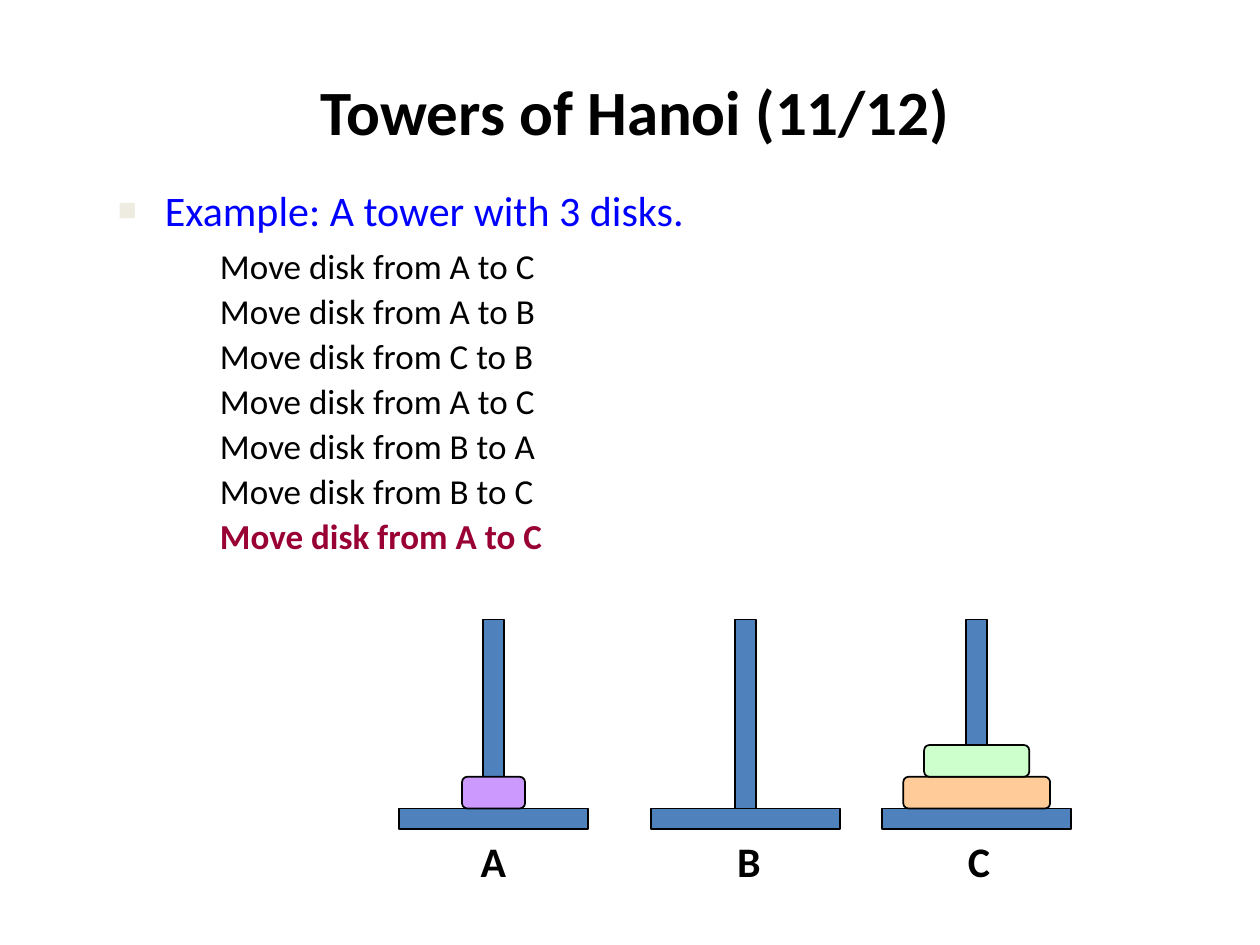
from lxml import etree
from pptx import Presentation
from pptx import util as u
from pptx.dml.color import RGBColor
from pptx.enum import shapes, text
from pptx.oxml.ns import qn

Cm, Pt = u.Cm, u.Pt
RECT = shapes.MSO_SHAPE.RECTANGLE
ROUND = shapes.MSO_SHAPE.ROUNDED_RECTANGLE


def write(para, words, size, color, bold=False):
    run = para.add_run()
    run.text = words
    font = run.font
    font.name, font.size, font.bold = "Calibri", Pt(size), bold
    font.color.rgb = RGBColor.from_string(color)


def block(kind, mid, top, wide, high, color):
    """Draw an outlined shape centred across on mid."""
    item = slide.shapes.add_shape(
        kind, Cm(mid - wide / 2), Cm(top), Cm(wide), Cm(high))
    item.shadow.inherit = False
    item.fill.solid()
    item.fill.fore_color.rgb = RGBColor.from_string(color)
    item.line.color.rgb = RGBColor.from_string("000000")
    item.line.width = Pt(1)


deck = Presentation()
deck.slide_width, deck.slide_height = Cm(25.4), Cm(19.05)
slide = deck.slides.add_slide(deck.slide_layouts[1])

# Title
title = slide.shapes.title
title.left, title.top, title.width, title.height = Cm(1.48), Cm(1.27), Cm(22.66), Cm(1.9)
para = title.text_frame.paragraphs[0]
para.alignment = text.PP_ALIGN.CENTER
write(para, "Towers of Hanoi (11/12)", 36, "000000", True)

# Heading and list of moves
body = slide.placeholders[1]
body.left, body.top, body.width, body.height = Cm(2.12), Cm(3.6), Cm(22.22), Cm(13.97)
frame = body.text_frame
frame.auto_size = text.MSO_AUTO_SIZE.NONE
head = frame.paragraphs[0]
head.alignment = text.PP_ALIGN.JUSTIFY
props = head._p.get_or_add_pPr()
props.set("marL", str(Cm(0.95)))
props.set("indent", str(Cm(-0.95)))
tint = etree.SubElement(props, qn("a:buClr"))
etree.SubElement(tint, qn("a:srgbClr"), val="EEECE1")
etree.SubElement(props, qn("a:buSzPct"), val="75000")
etree.SubElement(props, qn("a:buChar"), char="■")
head.space_before, head.space_after = Pt(0), Pt(3.7)
write(head, "Example: A tower with 3 disks.", 24, "0000FF")

moves = ["AC", "AB", "CB", "AC", "BA", "BC", "AC"]
for step, (start, end) in enumerate(moves, 1):
    para = frame.add_paragraph()
    para.level = 1
    para.alignment = text.PP_ALIGN.JUSTIFY
    props = para._p.get_or_add_pPr()
    props.set("marL", str(Cm(2.06)))
    props.set("indent", "0")
    etree.SubElement(props, qn("a:buNone"))
    para.space_before = Pt(1.7)
    last = step == len(moves)
    write(para, f"Move disk from {start} to {end}", 20,
          "990033" if last else "000000", last)

# Towers: name, centre, label centre, disks from the bottom up
floor, thick, disk = 16.3, 0.42, 0.64
towers = [
    ("A", 9.95, 9.95, [(1.27, "CC99FF")]),
    ("B", 15.03, 15.1, []),
    ("C", 19.69, 19.74, [(2.96, "FFCC99"), (2.12, "CCFFCC")]),
]
for name, mid, spot, disks in towers:
    block(RECT, mid, floor, 3.81, thick, "4F81BD")
    block(RECT, mid, floor - 3.81, thick, 3.81, "4F81BD")
    for row, (wide, color) in enumerate(disks, 1):
        block(ROUND, mid, floor - row * disk, wide, disk, color)
    label = slide.shapes.add_textbox(Cm(spot - 0.64), Cm(16.72), Cm(1.27), Cm(1.27))
    label.text_frame.word_wrap = True
    para = label.text_frame.paragraphs[0]
    para.alignment = text.PP_ALIGN.CENTER
    write(para, name, 24, "000000", True)

deck.save("out.pptx")
